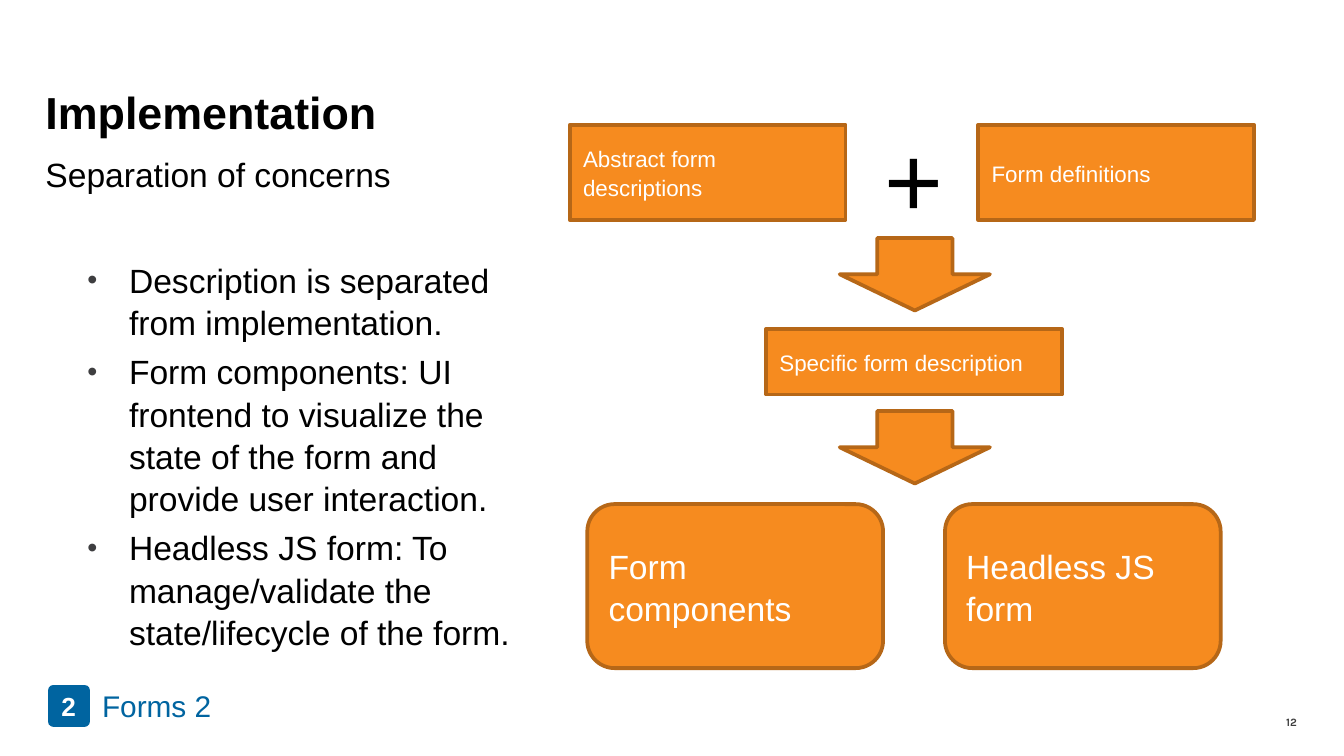
"""Build the slide on separating form descriptions from implementation."""
from lxml.etree import SubElement
from pptx import Presentation
from pptx.dml.color import RGBColor
from pptx.enum.shapes import MSO_SHAPE
from pptx.enum.text import MSO_ANCHOR, PP_ALIGN
from pptx.oxml.ns import qn
from pptx.util import Cm, Pt


def color(code):
    return RGBColor.from_string(code)


def write(shape, lines, size, code="000000", bold=False, anchor=MSO_ANCHOR.TOP, bullet=False):
    frame = shape.text_frame
    frame.word_wrap = True
    frame.vertical_anchor = anchor
    for i, line in enumerate(lines):
        para = frame.paragraphs[0] if i == 0 else frame.add_paragraph()
        para.text = line
        para.alignment = PP_ALIGN.LEFT
        para.line_spacing = 1.05
        if i:
            para.space_before = Pt(3.6)
        if bullet:
            props = para._p.get_or_add_pPr()
            props.set("marL", str(Cm(0.79)))
            props.set("indent", str(-Cm(0.79)))
            tint = SubElement(props, qn("a:buClr"))
            SubElement(tint, qn("a:srgbClr"), val="3E3E40")
            SubElement(props, qn("a:buSzPct"), val="85000")
            SubElement(props, qn("a:buFont"), typeface="Arial")
            SubElement(props, qn("a:buChar"), char="•")
        font = para.font
        font.name, font.size, font.bold = "Arial", Pt(size), bold
        font.color.rgb = color(code)
    return frame


deck = Presentation()
deck.slide_width, deck.slide_height = Cm(25.4), Cm(14.29)
slide = deck.slides.add_slide(deck.slide_layouts[6])
shapes = slide.shapes

badge = shapes.add_shape(MSO_SHAPE.ROUNDED_RECTANGLE, Cm(0.91), Cm(12.95), Cm(0.79), Cm(0.79))
badge.adjustments[0] = 0.125
badge.shadow.inherit = False
badge.fill.solid()
badge.fill.fore_color.rgb = color("0064A0")
badge.line.fill.background()

texts = [
    ("Implementation", 0.61, 1.5, 18, 1.24, 24, "000000", True, MSO_ANCHOR.BOTTOM),
    ("Separation of concerns", 0.61, 2.74, 15, 1.19, 18, "000000", False, MSO_ANCHOR.TOP),
    ("2", 0.91, 12.9, 0.79, 1, 14, "FFFFFF", True, MSO_ANCHOR.TOP),
    ("Forms 2", 1.68, 12.85, 7.2, 0.8, 16, "0064A0", False, MSO_ANCHOR.TOP),
]
for text, x, y, w, h, size, code, bold, anchor in texts:
    box = shapes.add_textbox(Cm(x), Cm(y), Cm(w), Cm(h))
    write(box, [text], size, code, bold, anchor)

points = [
    "Description is separated from implementation.",
    "Form components: UI frontend to visualize the state of the form and provide user interaction.",
    "Headless JS form: To manage/validate the state/lifecycle of the form.",
]
body = shapes.add_textbox(Cm(1.4), Cm(4.75), Cm(9.1), Cm(6.2))
write(body, points, 18, bullet=True)

rect, pill, arrow = MSO_SHAPE.RECTANGLE, MSO_SHAPE.ROUNDED_RECTANGLE, MSO_SHAPE.DOWN_ARROW
flow = [
    (rect, "Abstract form descriptions", 10.77, 2.36, 5.21, 1.8, 12),
    (rect, "Form definitions", 18.49, 2.36, 5.21, 1.8, 12),
    (arrow, "", 15.87, 4.5, 2.84, 1.37, 12),
    (rect, "Specific form description", 14.48, 6.22, 5.59, 1.24, 12),
    (arrow, "", 15.87, 7.77, 2.84, 1.37, 12),
    (pill, "Form components", 11.1, 9.53, 5.59, 3.1, 18),
    (pill, "Headless JS form", 17.86, 9.53, 5.21, 3.1, 18),
]
for kind, text, x, y, w, h, size in flow:
    node = shapes.add_shape(kind, Cm(x), Cm(y), Cm(w), Cm(h))
    node.shadow.inherit = False
    node.fill.solid()
    node.fill.fore_color.rgb = color("F68B1F")
    node.line.color.rgb = color("B66717")
    node.line.width = Pt(2)
    if text:
        write(node, [text], size, "FFFFFF", anchor=MSO_ANCHOR.MIDDLE)

plus = shapes.add_textbox(Cm(16.47), Cm(1.96), Cm(1.63), Cm(2.57))
write(plus, ["+"], 54).word_wrap = False

number = shapes.add_textbox(Cm(23.67), Cm(13.41), Cm(1.09), Cm(0.53))
para = write(number, ["12"], 6, "3D3D3D", True).paragraphs[0]
para.alignment = PP_ALIGN.RIGHT
para.line_spacing = Pt(7)
para.font.name = "Karla"

deck.save("out.pptx")
